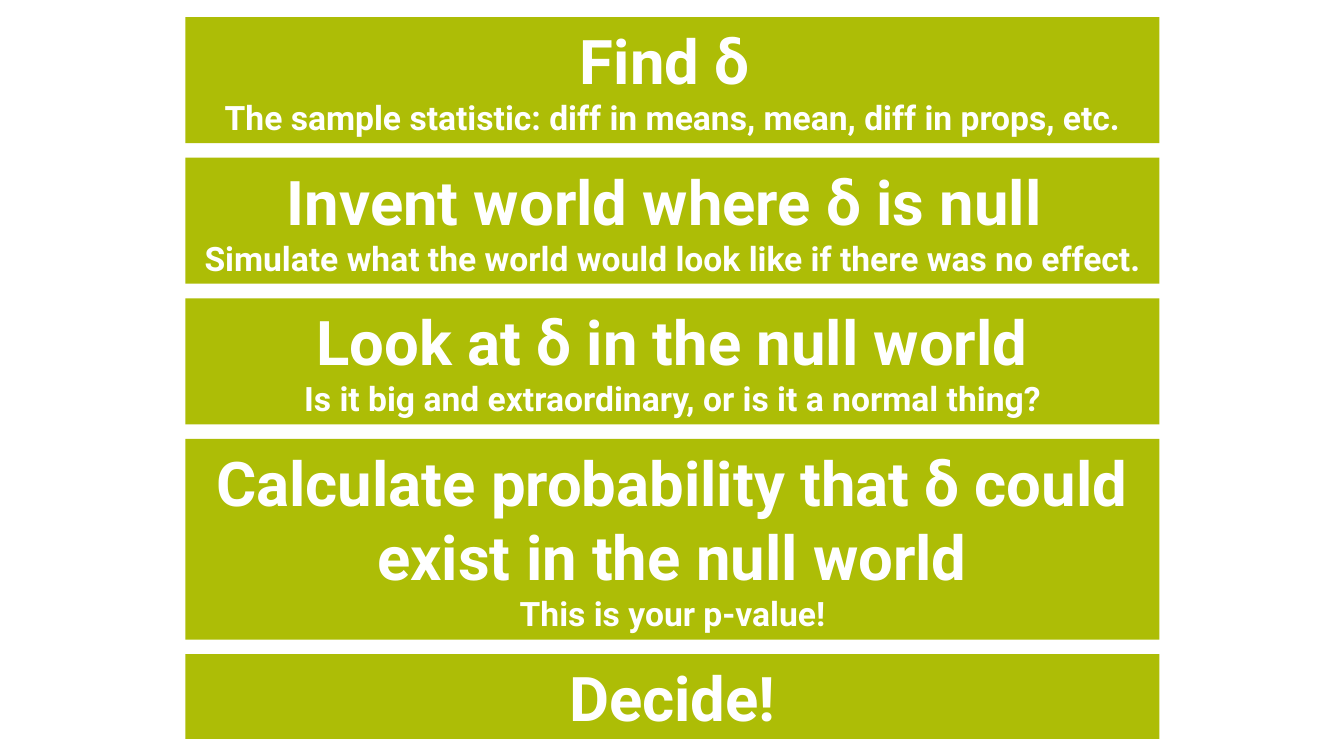
from pptx import Presentation
from pptx.dml.color import RGBColor
from pptx.enum.shapes import MSO_SHAPE
from pptx.enum.text import MSO_ANCHOR, MSO_AUTO_SIZE, PP_ALIGN
from pptx.util import Inches, Pt

GREEN = "ADBD06"
WHITE = "FFFFFF"
LEFT, TOP, WIDTH, BOTTOM = 1.84, 0.17, 9.66, 7.33

# Heading, explanation and height of each step
STEPS = [
    ("Find δ ", "The sample statistic: diff in means, mean, diff in props, etc.", 1.25),
    ("Invent world where δ is null ",
     "Simulate what the world would look like if there was no effect.", 1.25),
    ("Look at δ in the null world",
     "Is it big and extraordinary, or is it a normal thing?", 1.25),
    ("Calculate probability that δ could exist in the null world",
     "This is your p-value!", 1.99),
    ("Decide!", "", 0.84),
]


def paint(color_format, value):
    color_format.rgb = RGBColor.from_string(value)


def add_step(page, left, top, width, height, heading, explanation):
    box = page.shapes.add_shape(MSO_SHAPE.RECTANGLE, Inches(left), Inches(top),
                                Inches(width), Inches(height))
    box.shadow.inherit = False
    box.fill.solid()
    paint(box.fill.fore_color, GREEN)
    box.line.fill.background()

    # Large heading, then the explanation after a line break
    frame = box.text_frame
    frame.word_wrap = True
    frame.auto_size = MSO_AUTO_SIZE.SHAPE_TO_FIT_TEXT
    frame.vertical_anchor = MSO_ANCHOR.MIDDLE
    para = frame.paragraphs[0]
    para.text = f"{heading}\v{explanation}" if explanation else heading
    para.alignment = PP_ALIGN.CENTER
    for span, size in zip(para.runs, (44, 24)):
        span.font.name = "Roboto"
        span.font.size = Pt(size)
        span.font.bold = True
        paint(span.font.color, WHITE)


def add_steps(page, left, top, width, bottom):
    # Equal gaps fill the space that the steps leave
    used = sum(height for _, _, height in STEPS)
    gap = (bottom - top - used) / (len(STEPS) - 1)
    for heading, explanation, height in STEPS:
        add_step(page, left, top, width, height, heading, explanation)
        top += height + gap


def main():
    deck = Presentation()
    deck.slide_width = Inches(13.33)
    deck.slide_height = Inches(7.5)
    page = deck.slides.add_slide(deck.slide_layouts[6])
    add_steps(page, LEFT, TOP, WIDTH, BOTTOM)
    deck.save("out.pptx")


if __name__ == "__main__":
    main()
